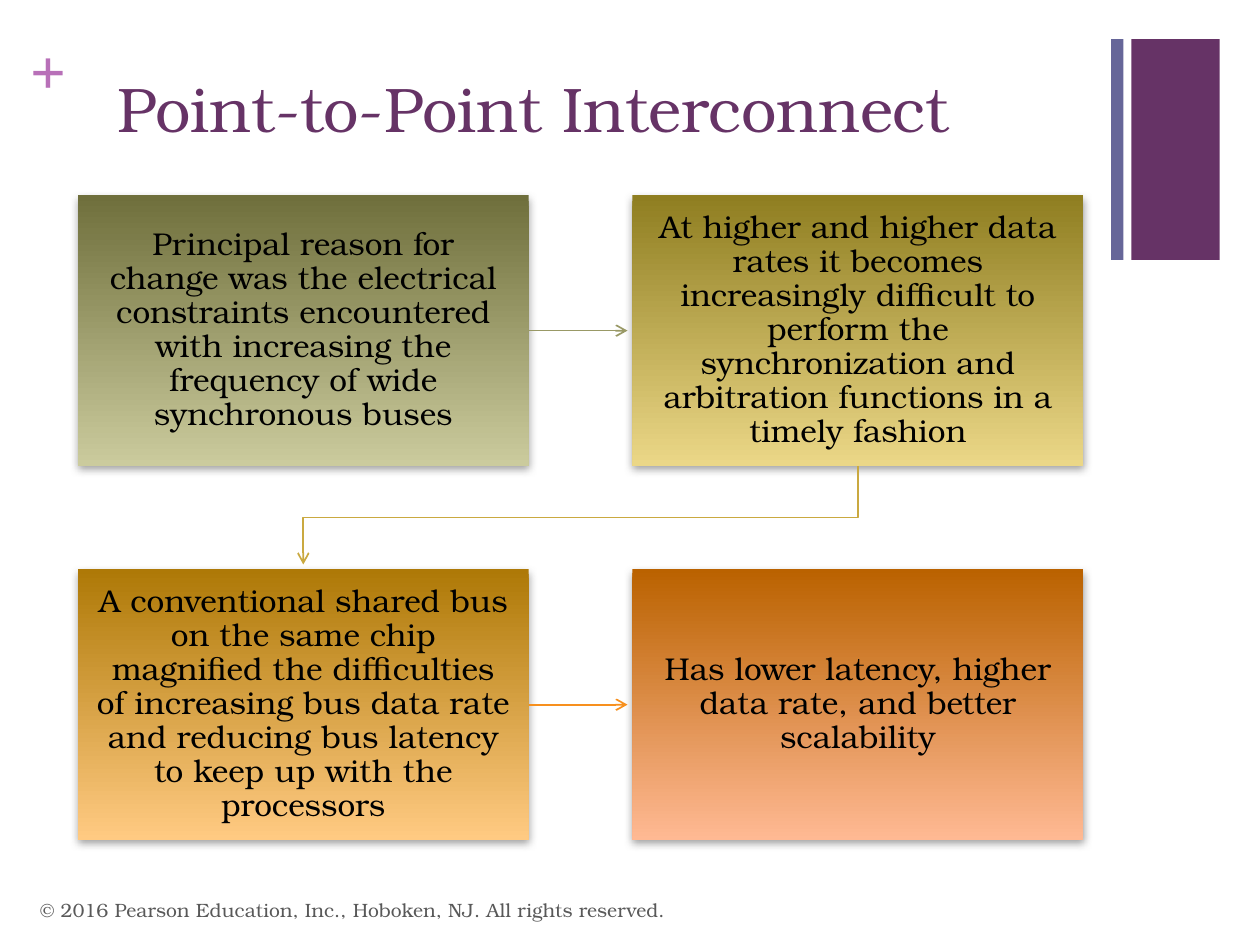
from pptx import Presentation
from pptx.dml.color import RGBColor
from pptx.enum.shapes import MSO_CONNECTOR, MSO_SHAPE
from pptx.enum.text import MSO_ANCHOR, PP_ALIGN
from pptx.oxml import parse_xml
from pptx.oxml.ns import nsdecls, qn
from pptx.util import Cm, Pt

# Content: text, gradient top and bottom, in reading order
STEPS = [
    ("Principal reason for change was the electrical constraints encountered "
     "with increasing the frequency of wide synchronous buses", "6F6F3C", "CBCB9D"),
    ("At higher and higher data rates it becomes increasingly difficult to perform "
     "the synchronization and arbitration functions in a timely fashion", "8F7E21", "EBD787"),
    ("A conventional shared bus on the same chip magnified the difficulties of "
     "increasing bus data rate and reducing bus latency to keep up with the processors",
     "AE7907", "FFCA82"),
    ("Has lower latency, higher data rate, and better scalability", "BA6200", "FFB993"),
]
ARROW_COLORS = ["999966", "CAA940", "F7901E"]
TITLE = "Point-to-Point Interconnect"
COPYRIGHT = "© 2016 Pearson Education, Inc., Hoboken, NJ. All rights reserved."

THEME = {
    "font": "TeX Gyre Bonum", "plus_font": "Times New Roman",
    "purple": "663366", "blue": "666699", "plus": "B870B8",
    "body": "000000", "footer": "595959", "shadow": "808080",
    "title_size": 36, "body_size": 18, "footer_size": 11,
}

# Grid of steps, in centimetres
COLUMNS = 2
LEFT, TOP = 1.57, 3.94
BOX_WIDTH, BOX_HEIGHT = 9.09, 5.45
COLUMN_PITCH, ROW_PITCH = 11.18, 7.54
ARROW_GAP = 0.1


def write_text(shape, text, *, size, color, font=THEME["font"], bold=False,
               align=PP_ALIGN.LEFT, anchor=MSO_ANCHOR.TOP, margins=None, line_spacing=None):
    frame = shape.text_frame
    frame.word_wrap = True
    frame.vertical_anchor = anchor
    if margins is not None:
        frame.margin_left = frame.margin_right = Cm(margins)
        frame.margin_top = frame.margin_bottom = Cm(margins)
    paragraph = frame.paragraphs[0]
    paragraph.text = text
    paragraph.alignment = align
    if line_spacing:
        paragraph.line_spacing = line_spacing
    paragraph.font.name = font
    paragraph.font.size = Pt(size)
    paragraph.font.bold = bold
    paragraph.font.color.rgb = RGBColor.from_string(color)


def add_text_box(slide, text, left, top, width, height, **text_format):
    box = slide.shapes.add_textbox(Cm(left), Cm(top), Cm(width), Cm(height))
    write_text(box, text, **text_format)


def add_rectangle(slide, left, top, width, height):
    shape = slide.shapes.add_shape(
        MSO_SHAPE.RECTANGLE, Cm(left), Cm(top), Cm(width), Cm(height))
    shape.line.fill.background()
    shape.shadow.inherit = False
    return shape


def add_bar(slide, color, left, width):
    bar = add_rectangle(slide, left, 0.79, width, 4.45)
    bar.fill.solid()
    bar.fill.fore_color.rgb = RGBColor.from_string(color)


def add_step(slide, index, text, *gradient):
    row, column = divmod(index, COLUMNS)
    step = add_rectangle(slide, LEFT + column * COLUMN_PITCH, TOP + row * ROW_PITCH,
                         BOX_WIDTH, BOX_HEIGHT)
    step.fill.gradient()
    step.fill.gradient_angle = 270
    for stop, color in zip(step.fill.gradient_stops, gradient):
        stop.color.rgb = RGBColor.from_string(color)
    # Soft shadow below the box
    step.element.spPr.find(qn("a:effectLst")).append(parse_xml(
        f'<a:outerShdw {nsdecls("a")} blurRad="{Pt(5)}" dist="{Pt(2)}" dir="5400000" '
        f'rotWithShape="0"><a:srgbClr val="{THEME["shadow"]}"><a:alpha val="75000"/>'
        '</a:srgbClr></a:outerShdw>'))
    write_text(step, text, size=THEME["body_size"], color=THEME["body"],
               align=PP_ALIGN.CENTER, anchor=MSO_ANCHOR.MIDDLE, margins=0.36,
               line_spacing=0.9)
    return step


def style_arrow(arrow, color):
    arrow.line.color.rgb = RGBColor.from_string(color)
    arrow.line.width = Pt(1)
    properties = arrow.element.spPr
    properties.find(qn("a:ln")).append(
        parse_xml(f'<a:tailEnd {nsdecls("a")} type="arrow"/>'))
    if properties.find(qn("a:effectLst")) is None:
        properties.append(parse_xml(f'<a:effectLst {nsdecls("a")}/>'))


def add_straight_arrow(slide, start, end, color):
    middle = start.top + start.height // 2
    arrow = slide.shapes.add_connector(
        MSO_CONNECTOR.STRAIGHT, start.left + start.width, middle,
        end.left - Cm(ARROW_GAP), middle)
    arrow.begin_connect(start, 3)
    style_arrow(arrow, color)


def add_row_arrow(slide, start, end, color):
    start_x, end_x = (box.left + box.width // 2 for box in (start, end))
    bottom = start.top + start.height
    middle = (bottom + end.top) // 2
    builder = slide.shapes.build_freeform(start_x, bottom)
    builder.add_line_segments(
        [(start_x, middle), (end_x, middle), (end_x, end.top - Cm(ARROW_GAP))], close=False)
    arrow = builder.convert_to_shape()
    arrow.fill.background()
    arrow.shadow.inherit = False
    style_arrow(arrow, color)


def main():
    presentation = Presentation()
    presentation.slide_width, presentation.slide_height = Cm(25.4), Cm(19.05)
    slide = presentation.slides.add_slide(presentation.slide_layouts[6])

    # Corner decoration
    add_bar(slide, THEME["purple"], 22.81, 1.78)
    add_bar(slide, THEME["blue"], 22.4, 0.25)
    add_text_box(slide, "+", 0.61, 0.64, 0.74, 1.55, size=THEME["title_size"],
                 color=THEME["plus"], font=THEME["plus_font"], bold=True, margins=0)

    # Title
    add_text_box(slide, TITLE, 2.11, 1.27, 20.98, 3.1,
                 size=THEME["title_size"], color=THEME["purple"])

    # Steps and the arrows between them
    steps = [add_step(slide, index, *step) for index, step in enumerate(STEPS)]
    for start, end, color in zip(steps, steps[1:], ARROW_COLORS):
        add_arrow = add_straight_arrow if start.top == end.top else add_row_arrow
        add_arrow(slide, start, end, color)

    # Footer
    add_text_box(slide, COPYRIGHT, 0.56, 17.83, 17.02, 1.02, size=THEME["footer_size"],
                 color=THEME["footer"], anchor=MSO_ANCHOR.MIDDLE)

    presentation.save("out.pptx")


if __name__ == "__main__":
    main()
